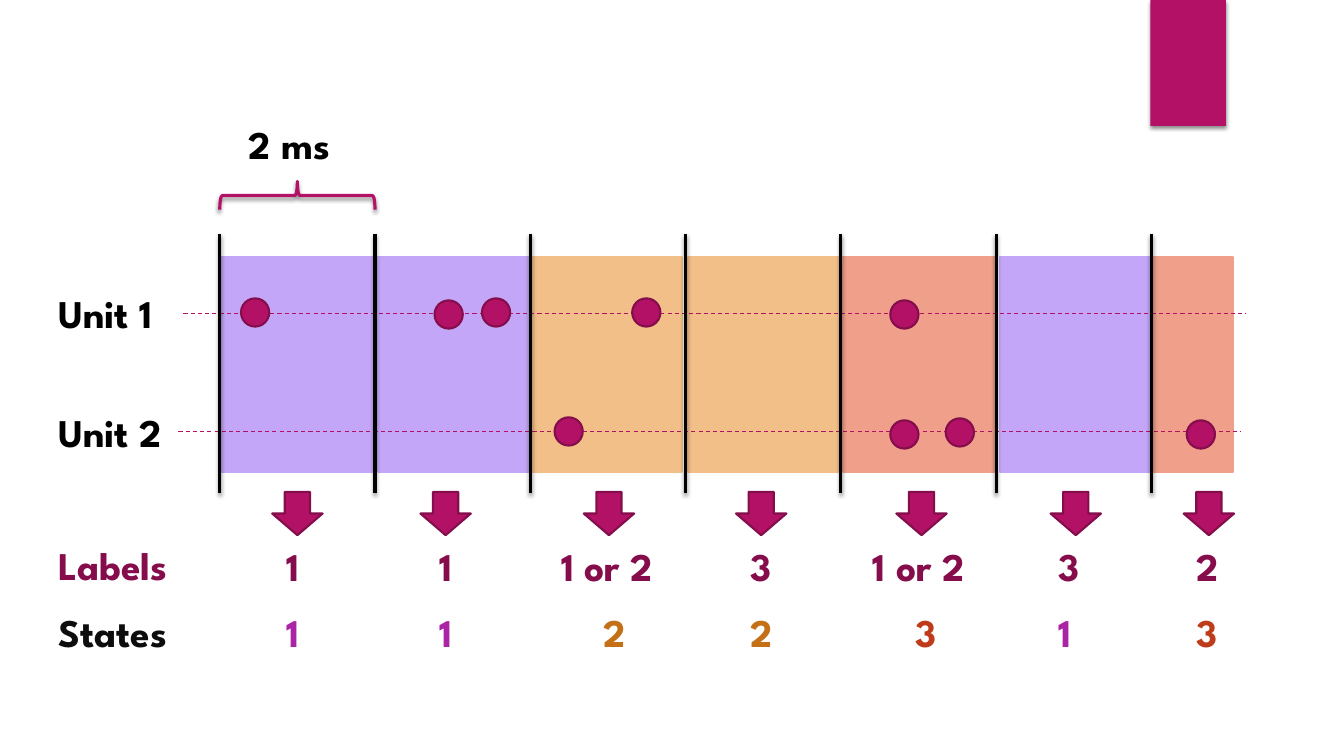
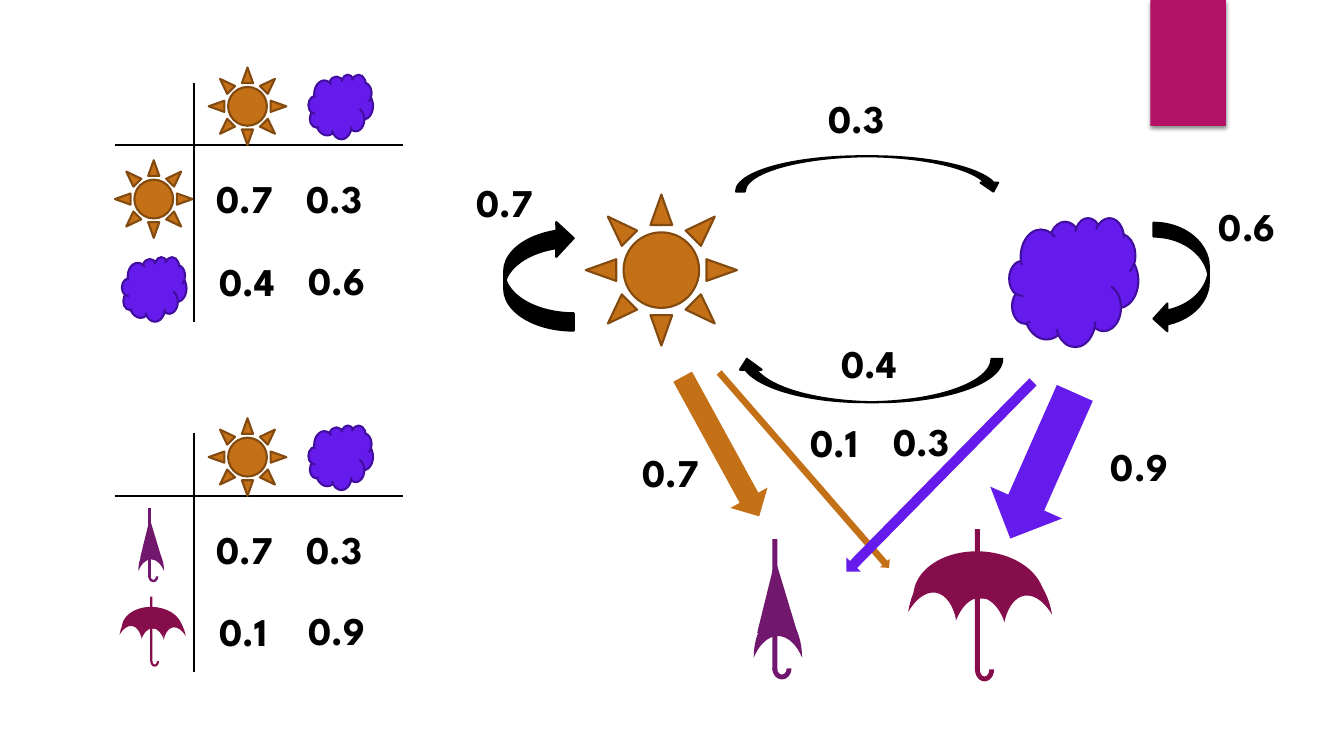
import dataclasses

import lxml.etree
import pptx
import pptx.dml.color
import pptx.enum.dml
import pptx.enum.shapes
import pptx.enum.text
import pptx.oxml
import pptx.oxml.ns
import pptx.util

Inches = pptx.util.Inches
SHAPE = pptx.enum.shapes.MSO_SHAPE


@dataclasses.dataclass(frozen=True)
class Theme:
    font: str = "League Spartan"
    text_size: int = 28
    thin: float = 0.75
    outline: float = 1.5
    heavy: float = 2.25
    black: str = "000000"
    soft_black: str = "0D0D0D"
    magenta: str = "B31166"
    magenta_edge: str = "840D4B"
    wine: str = "860D4C"
    plum: str = "71186E"
    orange: str = "C47016"
    orange_edge: str = "834A0F"
    violet: str = "651BEB"
    violet_edge: str = "420EA0"
    state_fills: tuple = ("C3A6F7", "F2BF89", "EF9F8A")
    state_texts: tuple = ("A925A5", "C47016", "BE3C1A")


theme = Theme()


def add_shape(shapes, kind, box, fill=None, line=None, weight=theme.outline, rotation=0):
    shape = shapes.add_shape(kind, *[Inches(value) for value in box])
    shape.rotation = rotation
    shape.shadow.inherit = False
    if fill:
        shape.fill.solid()
        shape.fill.fore_color.rgb = pptx.dml.color.RGBColor.from_string(fill)
    else:
        shape.fill.background()
    if line:
        shape.line.color.rgb = pptx.dml.color.RGBColor.from_string(line)
        shape.line.width = pptx.util.Pt(weight)
    else:
        shape.line.fill.background()
    return shape


def add_line(shapes, start, end, color, weight):
    connector = shapes.add_connector(
        pptx.enum.shapes.MSO_CONNECTOR.STRAIGHT,
        *[Inches(value) for value in start + end],
    )
    connector.line.color.rgb = pptx.dml.color.RGBColor.from_string(color)
    connector.line.width = pptx.util.Pt(weight)
    lxml.etree.SubElement(connector.element.spPr, pptx.oxml.ns.qn("a:effectLst"))
    return connector


presentation = pptx.Presentation()
presentation.slide_width = Inches(13.33)
presentation.slide_height = Inches(7.5)
blank_layout = presentation.slide_layouts[6]
timeline = presentation.slides.add_slide(blank_layout)
weather = presentation.slides.add_slide(blank_layout)

ribbon = add_shape(timeline.shapes, SHAPE.RECTANGLE, (11.41, 0, 0.75, 1.25), theme.magenta)
ribbon.element.nvSpPr.cNvPr.id = 20
presentation.slide_master.shapes.element.append(ribbon.element)
shadowed = [ribbon]

labels = [
    (timeline, "Unit 1", 0.48, 2.82, 1.51, theme.black),
    (timeline, "Unit 2", 0.48, 4, 1.51, theme.black),
    (timeline, "2 ms", 2.37, 1.14, 1.51, theme.black),
    (timeline, "Labels", 0.48, 5.32, 1.51, theme.wine),
    (timeline, "States", 0.48, 5.99, 1.51, theme.soft_black),
]

windows = [
    (1, "1", 2.18, 1.55, 2.7, 2.74, 2.74),
    (1, "1", 3.75, 1.51, 4.17, 4.26, 4.26),
    (2, "1 or 2", 5.28, 1.48, 5.79, 5.47, 5.89),
    (2, "3", 6.82, 1.51, 7.3, 7.35, 7.35),
    (3, "1 or 2", 8.36, 1.51, 8.89, 8.56, 8.98),
    (1, "3", 9.92, 1.51, 10.42, 10.4, 10.4),
    (3, "2", 11.44, 0.79, 11.74, 11.77, 11.77),
]
for state, label, left, width, arrow_left, label_left, state_left in windows:
    fill = theme.state_fills[state - 1]
    add_shape(timeline.shapes, SHAPE.RECTANGLE, (left, 2.55, width, 2.13), fill, fill)
    add_shape(timeline.shapes, SHAPE.DOWN_ARROW, (arrow_left, 4.88, 0.5, 0.43),
              theme.magenta, theme.magenta_edge)
    labels.append((timeline, label, label_left, 5.33, 1.51, theme.wine))
    labels.append((timeline, str(state), state_left, 5.99, 1.51, theme.state_texts[state - 1]))

for left, top in ((1.82, 3.11), (1.77, 4.28)):
    unit_line = add_line(timeline.shapes, (left, top), (left + 10.54, top), theme.magenta, theme.thin)
    unit_line.line.dash_style = pptx.enum.dml.MSO_LINE.DASH

spikes = [
    (2.39, 2.96), (4.31, 2.98), (4.78, 2.96), (6.27, 2.96), (8.83, 2.98),
    (5.5, 4.14), (8.83, 4.17), (9.38, 4.15), (11.77, 4.17),
]
for left, top in spikes:
    add_shape(timeline.shapes, SHAPE.OVAL, (left, top, 0.28, 0.28), theme.magenta, theme.magenta_edge)

for index in range(len(windows)):
    tick_left = 2.18 + 1.54 * index
    shadowed.append(add_line(timeline.shapes, (tick_left, 2.32), (tick_left, 4.89),
                             theme.black, theme.heavy))
shadowed.append(add_shape(timeline.shapes, SHAPE.RIGHT_BRACE, (2.81, 1.17, 0.28, 1.54),
                          line=theme.magenta, weight=theme.heavy, rotation=270))

suns = [(1.14, 1.59, 0.77), (5.81, 1.93, 1.5)]
clouds = [(1.21, 2.55, 0.64), (10.01, 2.16, 1.28)]
tables = [
    (0, ("0.7", "0.3", "0.4", "0.6")),
    (3.48, ("0.7", "0.3", "0.1", "0.9")),
]
cells = [(2.05, 1.68), (2.94, 1.68), (2.08, 2.5), (2.96, 2.49)]
for offset, values in tables:
    suns.append((2.07, 0.67 + offset, 0.77))
    clouds.append((3.06, 0.74 + offset, 0.64))
    add_line(weather.shapes, (1.14, 1.44 + offset), (4, 1.44 + offset), theme.black, theme.outline)
    add_line(weather.shapes, (1.92, 3.19 + offset), (1.92, 0.82 + offset), theme.black, theme.outline)
    for value, (left, top) in zip(values, cells):
        labels.append((weather, value, left, top + offset, 0.88, theme.black))

for kind, places, fill, edge in (
    (SHAPE.SUN, suns, theme.orange, theme.orange_edge),
    (SHAPE.CLOUD, clouds, theme.violet, theme.violet_edge),
):
    for left, top, size in places:
        add_shape(weather.shapes, kind, (left, top, size, size), fill, edge)

open_umbrella = [
    (SHAPE.MOON, (-0.62, 0.39, 0.46, 0.48), 98.6),
    (SHAPE.MOON, (-0.18, 0.44, 0.46, 0.48), 90),
    (SHAPE.MOON, (0.26, 0.42, 0.46, 0.48), 80.6),
    (SHAPE.MOON, (-0.18, -0.2, 0.46, 1.3), 92.8),
    (SHAPE.OVAL, (-0.31, 0.41, 0.73, 0.28), 0),
    (SHAPE.OVAL, (-0.19, 0.45, 0.06, 0.38), 0),
    (SHAPE.OVAL, (0.2, 0.5, 0.14, 0.28), 0),
    (SHAPE.RECTANGLE, (0, 0, 0.05, 1.4), 0),
    (SHAPE.BLOCK_ARC, (0, 1.27, 0.19, 0.24), 180),
]
closed_umbrella = [
    (SHAPE.MOON, (-0.16, 0.72, 0.43, 0.48), 90),
    (SHAPE.RECTANGLE, (0, 0, 0.05, 1.3), 0),
    (SHAPE.BLOCK_ARC, (0, 1.17, 0.19, 0.22), 180),
    (SHAPE.ISOSCELES_TRIANGLE, (-0.15, 0.2, 0.4, 0.73), 0),
]
umbrellas = [
    (open_umbrella, 1.49, 5.92, 0.46, theme.wine),
    (closed_umbrella, 1.47, 5.04, 0.53, theme.plum),
    (open_umbrella, 9.67, 5.25, 1, theme.wine),
    (closed_umbrella, 7.66, 5.35, 1, theme.plum),
]
for parts, pole_left, pole_top, scale, fill in umbrellas:
    group = weather.shapes.add_group_shape()
    for kind, (left, top, width, height), rotation in parts:
        box = (pole_left + left * scale, pole_top + top * scale, width * scale, height * scale)
        part = add_shape(group.shapes, kind, box, fill, rotation=rotation)
        if kind == SHAPE.ISOSCELES_TRIANGLE:
            part.adjustments[0] = 0.45

transitions = [
    ("0.3", (8.12, 0.89), (7.3, 1.55, 2.64, 0.35), 0),
    ("0.6", (11.99, 1.96), (11.17, 2.48, 1.09, 0.55), 90),
    ("0.4", (8.25, 3.32), (7.3, 3.56, 2.64, 0.43), 180),
    ("0.7", (4.63, 1.72), (4.8, 2.39, 1.09, 0.69), 270),
]
for value, (left, top), box, rotation in transitions:
    add_shape(weather.shapes, SHAPE.CURVED_DOWN_ARROW, box, theme.black, theme.black, rotation=rotation)
    labels.append((weather, value, left, top, 0.88, theme.black))

emissions = [
    ("0.7", (6.27, 4.4), (6.36, 4.22, 1.58, 0.42), 61.3, theme.orange),
    ("0.1", (7.94, 4.1), (6.69, 4.6, 2.57, 0.13), 49, theme.orange),
    ("0.9", (10.92, 4.34), (9.55, 4.23, 1.58, 0.78), 113.9, theme.violet),
    ("0.3", (8.76, 4.09), (8, 4.63, 2.64, 0.2), 134.5, theme.violet),
]
for value, (left, top), box, rotation, fill in emissions:
    add_shape(weather.shapes, SHAPE.RIGHT_ARROW, box, fill, rotation=rotation)
    labels.append((weather, value, left, top, 0.88, theme.black))

for slide, text, left, top, width, color in labels:
    text_box = slide.shapes.add_textbox(Inches(left), Inches(top), Inches(width), Inches(0.57))
    text_box.text_frame.word_wrap = True
    text_box.text_frame.auto_size = pptx.enum.text.MSO_AUTO_SIZE.SHAPE_TO_FIT_TEXT
    run = text_box.text_frame.paragraphs[0].add_run()
    run.text = text
    run.font.name = theme.font
    run.font.size = pptx.util.Pt(theme.text_size)
    run.font.bold = True
    run.font.color.rgb = pptx.dml.color.RGBColor.from_string(color)

for shape in shadowed:
    effects = shape.element.spPr.find(pptx.oxml.ns.qn("a:effectLst"))
    effects.append(pptx.oxml.parse_xml(
        f'<a:outerShdw {pptx.oxml.ns.nsdecls("a")} blurRad="38100" dist="25400" dir="5400000" '
        f'rotWithShape="0"><a:srgbClr val="{theme.black}"><a:alpha val="45000"/></a:srgbClr>'
        '</a:outerShdw>'
    ))

presentation.save("out.pptx")
